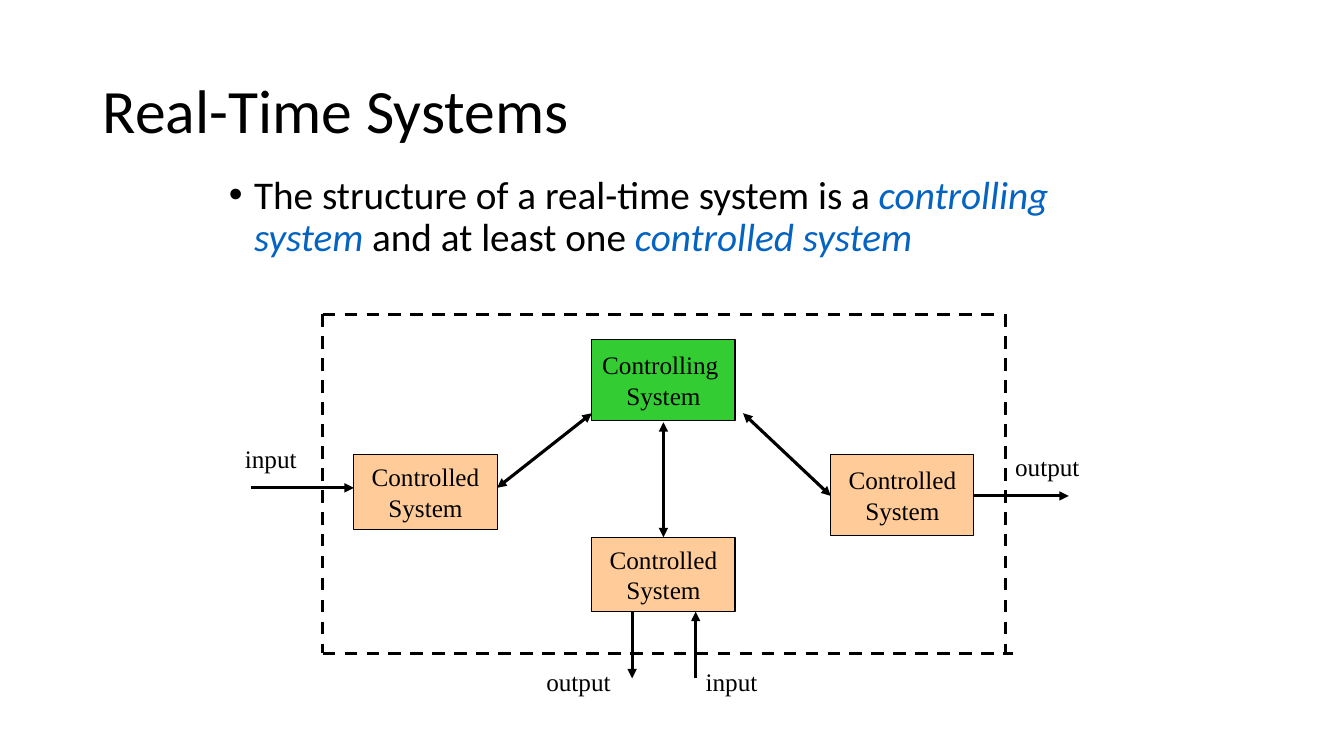
"""Build the Real-Time Systems slide with its controlling and controlled systems."""
from dataclasses import dataclass

from lxml import etree
from pptx import Presentation
from pptx import util as u
from pptx.dml.color import RGBColor
from pptx.enum import dml, shapes, text
from pptx.oxml import ns

BLACK, BLUE, GREEN, PEACH = "000000", "0563C1", "33CC33", "FFCC99"
SANS, SERIF = "Calibri", "Times New Roman"
LEFT, TOP, RIGHT, BOTTOM = 3.2, 3.12, 9.97, 6.48
BOX_WIDTH = 1.42


@dataclass
class System:
    left: float
    top: float
    height: float
    role: str
    fill: str = PEACH


@dataclass
class Line:
    x1: float
    y1: float
    x2: float
    y2: float
    head: bool = False
    tail: bool = False
    dashed: bool = False


@dataclass
class Label:
    left: float
    top: float
    width: float
    wording: str


SYSTEMS = [
    System(5.87, 3.37, 0.8, "Controlling ", GREEN),
    System(8.24, 4.51, 0.8, "Controlled"),
    System(5.87, 5.33, 0.74, "Controlled"),
    System(3.51, 4.51, 0.74, "Controlled"),
]
LINES = [
    Line(5.87, 4.1, 4.93, 4.84, head=True, tail=True),
    Line(7.37, 4.1, 8.24, 4.92, head=True, tail=True),
    Line(6.58, 4.19, 6.58, 5.33, head=True, tail=True),
    Line(LEFT, TOP, LEFT, BOTTOM, dashed=True),
    Line(LEFT, TOP, 9.89, TOP, dashed=True),
    Line(RIGHT, TOP, RIGHT, BOTTOM, dashed=True),
    Line(LEFT, BOTTOM, 10.05, BOTTOM, dashed=True),
    Line(9.65, 4.92, 10.6, 4.92, tail=True),
    Line(2.49, 4.84, 3.51, 4.84, tail=True),
    Line(6.27, 6.07, 6.27, 6.73, tail=True),
    Line(6.9, 6.07, 6.9, 6.73, head=True),
]
LABELS = [
    Label(9.97, 4.43, 0.84, "output"),
    Label(2.33, 4.35, 0.72, "input"),
    Label(5.32, 6.56, 0.84, "output"),
    Label(6.9, 6.56, 0.72, "input"),
]
STATEMENT = [
    ("The structure of a real-time system is a ", False),
    ("controlling system", True),
    (" and at least one ", False),
    ("controlled system", True),
]


def paint(color_format, color: str) -> None:
    """Give a colour format a hex colour."""
    color_format.rgb = RGBColor.from_string(color)


def add_span(para, wording: str, size: float, font: str,
             color: str = BLACK, italic: bool = False) -> None:
    """Add one formatted run to a paragraph."""
    span = para.add_run()
    span.text = wording
    span.font.size = u.Pt(size)
    span.font.name = font
    span.font.italic = italic
    paint(span.font.color, color)


def place(shape, left: float, top: float, width: float, height: float) -> None:
    """Move and size a shape in inches."""
    shape.left, shape.top = u.Inches(left), u.Inches(top)
    shape.width, shape.height = u.Inches(width), u.Inches(height)


def fill_title(title) -> None:
    """Write the slide title."""
    place(title, 0.92, 0.4, 11.5, 1.45)
    frame = title.text_frame
    frame.auto_size = text.MSO_AUTO_SIZE.NONE
    frame.vertical_anchor = text.MSO_ANCHOR.MIDDLE
    para = frame.paragraphs[0]
    para.alignment = text.PP_ALIGN.LEFT
    para.line_spacing = 0.9
    add_span(para, "Real-Time Systems", 44, SANS)


def fill_body(body) -> None:
    """Write the bulleted statement."""
    place(body, 2.17, 1.69, 9, 1.26)
    body.text_frame.auto_size = text.MSO_AUTO_SIZE.NONE
    para = body.text_frame.paragraphs[0]
    para.line_spacing = 0.9
    para.space_before = u.Pt(0)
    properties = para._p.get_or_add_pPr()
    properties.set("marL", str(u.Inches(0.25)))
    properties.set("indent", str(u.Inches(-0.25)))
    etree.SubElement(properties, ns.qn("a:buFont"), typeface="Arial")
    etree.SubElement(properties, ns.qn("a:buChar"), char="•")
    for wording, is_term in STATEMENT:
        add_span(para, wording, 28, SANS, BLUE if is_term else BLACK, is_term)


def draw_system(slide, system: System) -> None:
    """Draw one system box with its two-line name."""
    box = slide.shapes.add_shape(
        shapes.MSO_SHAPE.RECTANGLE, u.Inches(system.left), u.Inches(system.top),
        u.Inches(BOX_WIDTH), u.Inches(system.height))
    box.shadow.inherit = False
    box.fill.solid()
    paint(box.fill.fore_color, system.fill)
    paint(box.line.color, BLACK)
    box.line.width = u.Pt(0.75)
    frame = box.text_frame
    frame.word_wrap = False
    frame.vertical_anchor = text.MSO_ANCHOR.MIDDLE
    for para, wording in ((frame.paragraphs[0], system.role),
                          (frame.add_paragraph(), "System")):
        para.alignment = text.PP_ALIGN.CENTER
        add_span(para, wording, 18, SERIF)


def draw_line(slide, line: Line) -> None:
    """Draw one arrow or dashed boundary side."""
    connector = slide.shapes.add_connector(
        shapes.MSO_CONNECTOR.STRAIGHT, u.Inches(line.x1), u.Inches(line.y1),
        u.Inches(line.x2), u.Inches(line.y2))
    paint(connector.line.color, BLACK)
    connector.line.width = u.Pt(2.25)
    if line.dashed:
        connector.line.dash_style = dml.MSO_LINE.DASH
    outline = connector.line._get_or_add_ln()
    for tag, wanted in (("a:headEnd", line.head), ("a:tailEnd", line.tail)):
        if wanted:
            etree.SubElement(outline, ns.qn(tag), type="triangle")
    etree.SubElement(connector._element.spPr, ns.qn("a:effectLst"))


def draw_label(slide, label: Label) -> None:
    """Write one input or output label."""
    box = slide.shapes.add_textbox(
        u.Inches(label.left), u.Inches(label.top), u.Inches(label.width), u.Inches(0.4))
    box.text_frame.word_wrap = False
    box.text_frame.auto_size = text.MSO_AUTO_SIZE.SHAPE_TO_FIT_TEXT
    add_span(box.text_frame.paragraphs[0], label.wording, 18, SERIF)


def main() -> None:
    """Build and save the deck."""
    deck = Presentation()
    deck.slide_width, deck.slide_height = u.Inches(13.33), u.Inches(7.5)
    page = deck.slides.add_slide(deck.slide_layouts[1])
    fill_title(page.shapes.title)
    fill_body(page.placeholders[1])
    for system in SYSTEMS:
        draw_system(page, system)
    for line in LINES:
        draw_line(page, line)
    for label in LABELS:
        draw_label(page, label)
    deck.save("out.pptx")


if __name__ == "__main__":
    main()
